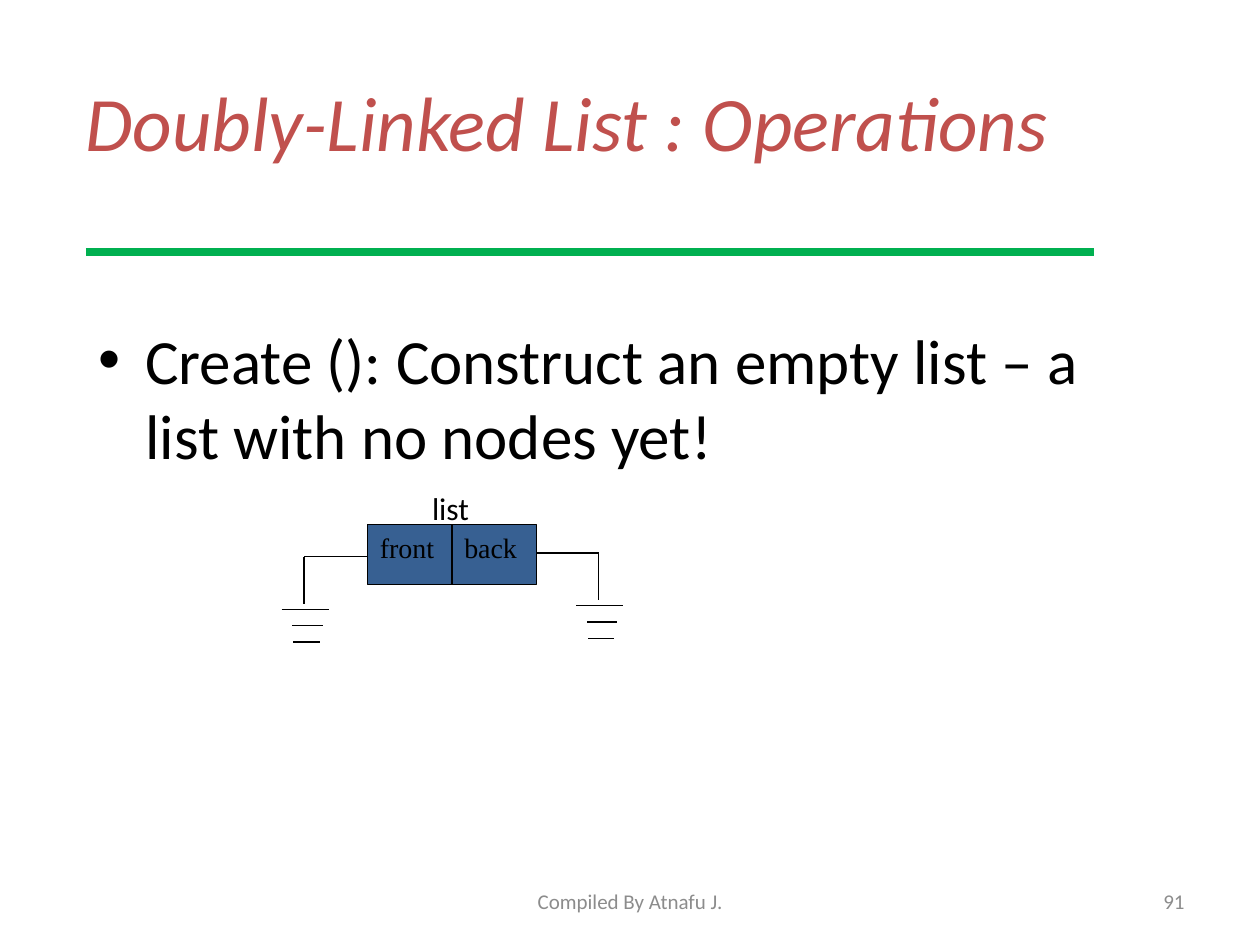
from lxml import etree
from pptx import Presentation
from pptx.dml.color import RGBColor
from pptx.enum.shapes import MSO_CONNECTOR, MSO_SHAPE
from pptx.enum.text import MSO_ANCHOR, PP_ALIGN
from pptx.oxml.ns import qn
from pptx.util import Cm, Pt

LEFT, CENTER, RIGHT = PP_ALIGN.LEFT, PP_ALIGN.CENTER, PP_ALIGN.RIGHT
TOP, MIDDLE = MSO_ANCHOR.TOP, MSO_ANCHOR.MIDDLE
STRAIGHT, RECTANGLE = MSO_CONNECTOR.STRAIGHT, MSO_SHAPE.RECTANGLE

RED = RGBColor(0xC0, 0x50, 0x4D)
GREEN = RGBColor(0x00, 0xB0, 0x50)
BLUE = RGBColor(0x37, 0x60, 0x92)
GRAY = RGBColor(0x8C, 0x8C, 0x8C)
BLACK = RGBColor(0x00, 0x00, 0x00)

presentation = Presentation()
presentation.slide_width = Cm(25.4)
presentation.slide_height = Cm(19.05)
slide = presentation.slides.add_slide(presentation.slide_layouts[6])


def write_text(shape, text, size, color, font="Calibri", align=LEFT, anchor=TOP, wrap=True):
    text_frame = shape.text_frame
    text_frame.text = text
    text_frame.word_wrap = wrap
    text_frame.vertical_anchor = anchor
    paragraph = text_frame.paragraphs[0]
    paragraph.alignment = align
    run = paragraph.runs[0]
    run.font.size = Pt(size)
    run.font.name = font
    run.font.color.rgb = color
    return paragraph


def draw_line(x1, y1, x2, y2, color=BLACK, width=0.75):
    line = slide.shapes.add_connector(STRAIGHT, Cm(x1), Cm(y1), Cm(x2), Cm(y2))
    line.line.color.rgb = color
    line.line.width = Pt(width)
    etree.SubElement(line._element.spPr, qn("a:effectLst"))


title = slide.shapes.add_textbox(Cm(1.47), Cm(0.85), Cm(22.86), Cm(3.18))
paragraph = write_text(title, "Doubly-Linked List : Operations", 44, RED, anchor=MIDDLE)
paragraph.runs[0].font.italic = True

draw_line(1.73, 5.08, 22.05, 5.08, GREEN, 4.25)

body = slide.shapes.add_textbox(Cm(1.73), Cm(6.35), Cm(21.59), Cm(11.43))
paragraph = write_text(
    body, "Create (): Construct an empty list – a list with no nodes yet!", 36, BLACK)
properties = paragraph._p.get_or_add_pPr()
properties.set("marL", str(Cm(0.95)))
properties.set("indent", str(-Cm(0.95)))
etree.SubElement(properties, qn("a:buFont")).set("typeface", "Arial")
etree.SubElement(properties, qn("a:buChar")).set("char", "•")

for index, name in enumerate(["front", "back"]):
    cell = slide.shapes.add_shape(
        RECTANGLE, Cm(7.41 + 1.7 * index), Cm(10.58), Cm(1.7), Cm(1.2))
    cell.shadow.inherit = False
    cell.fill.solid()
    cell.fill.fore_color.rgb = BLUE
    cell.line.color.rgb = BLACK
    cell.line.width = Pt(0.75)
    write_text(cell, name, 16, BLACK, "Times New Roman")

GROUND_BARS = [(0.02, 0.95), (0.07, 0.61), (0.05, 0.53)]
for cell_edge, wire_x, wire_y in [(7.41, 6.13, 11.22), (10.81, 12.07, 11.15)]:
    draw_line(cell_edge, wire_y, wire_x, wire_y)
    draw_line(wire_x, wire_y, wire_x, wire_y + 0.95)
    for index, (offset, length) in enumerate(GROUND_BARS):
        bar_x = wire_x + offset - length / 2
        bar_y = wire_y + 1.06 + 0.33 * index
        draw_line(bar_x, bar_y, bar_x + length, bar_y)

label = slide.shapes.add_textbox(Cm(8.46), Cm(9.73), Cm(1.27), Cm(1.02))
write_text(label, "list", 18, BLACK, wrap=False)

footer = slide.shapes.add_textbox(Cm(8.68), Cm(17.65), Cm(8.05), Cm(1.02))
write_text(footer, "Compiled By Atnafu J.", 12, GRAY, align=CENTER, anchor=MIDDLE)

page_number = slide.shapes.add_textbox(Cm(18.2), Cm(17.65), Cm(5.93), Cm(1.02))
write_text(page_number, "91", 12, GRAY, align=RIGHT, anchor=MIDDLE)

presentation.save("out.pptx")
